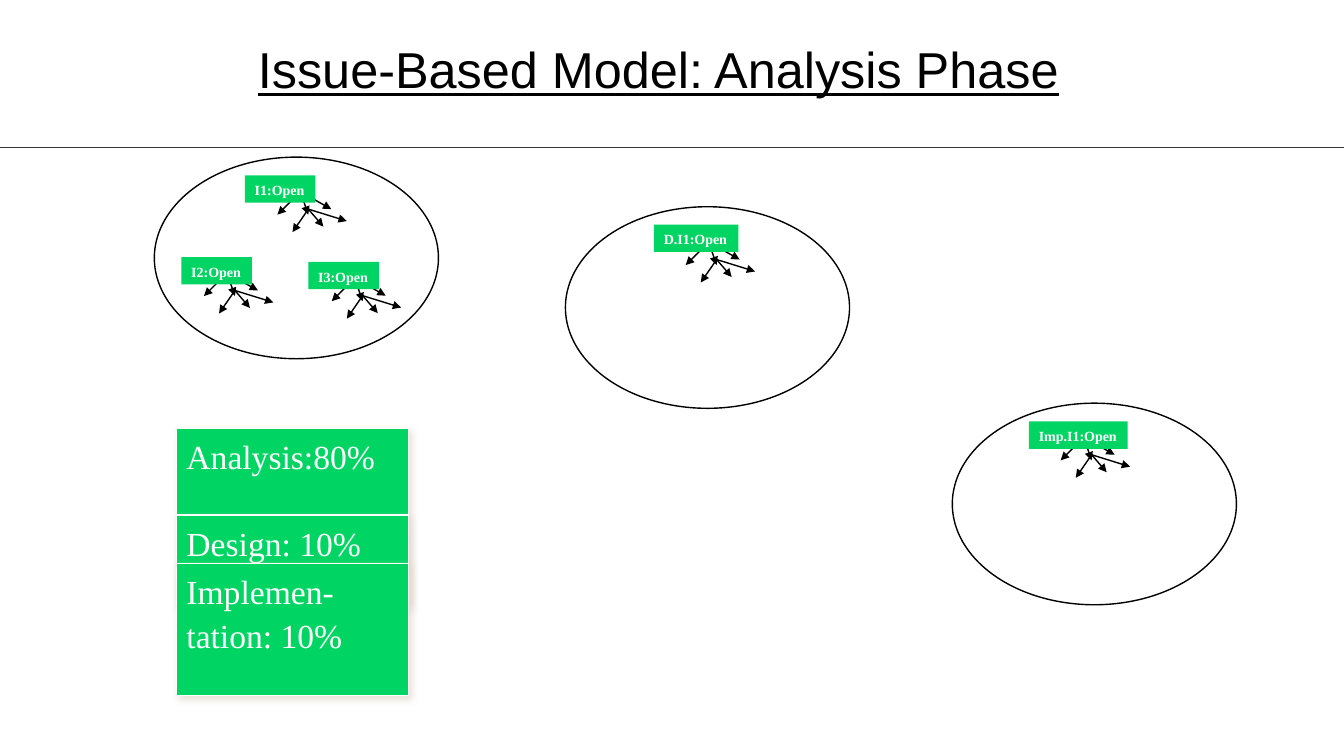
from lxml import etree
from pptx import Presentation
from pptx.dml.color import RGBColor
from pptx.enum.shapes import MSO_CONNECTOR as CONNECTOR, MSO_SHAPE as SHAPE
from pptx.enum.text import MSO_ANCHOR as ANCHOR, PP_ALIGN as ALIGN
from pptx.oxml import parse_xml
from pptx.oxml.ns import nsdecls, qn
from pptx.util import Cm, Pt

GREEN, WHITE, BLACK, RULE_GREY = "00D564", "FFFFFF", "000000", "353537"
WIDTH, HEIGHT = 33.87, 19.05
PHASE_SIZE = (7.16, 5.08)
LABEL_HEIGHT = 0.69

# Both hubs of an arrow fan and the tips they reach, measured from the first hub
FAN = [
    ((0, 0), [(0.2, 0.58), (-0.58, 0.58), (0.78, 0.44)]),
    ((0.2, 0.44), [(-0.2, 1.02), (0.58, 0.88), (1.17, 0.74)]),
]
PHASES = [(3.89, 3.96), (14.25, 5.21), (24.0, 10.16)]
# Text, label left, top and width, fan hub
ISSUES = [
    ("I1:Open", (6.17, 4.42, 1.78), (7.57, 4.83)),
    ("I2:Open", (4.57, 6.48, 1.78), (5.72, 6.88)),
    ("I3:Open", (7.77, 6.6, 1.78), (8.94, 7.01)),
    ("D.I1:Open", (16.48, 5.66, 2.13), (17.86, 6.1)),
    ("Imp.I1:Open", (25.93, 10.62, 2.49), (27.31, 11.02)),
]
# Text, top, height
PROGRESS = [
    ("Analysis:80%", 10.8, 4.37),
    ("Design: 10%", 12.98, 2.31),
    ("Implemen-tation: 10%", 14.2, 3.33),
]


def color(value):
    return RGBColor.from_string(value)


class IssueSlide:
    serif, sans = "Times New Roman", "Arial"
    line_width = Pt(1)
    line_spacing = 1.07

    def __init__(self, s):
        self.s = s

    def line(self, start, end, stroke=BLACK, shapes=None, arrow=False):
        shapes = shapes or self.s.shapes
        ends = [Cm(v) for v in (*start, *end)]
        cxn = shapes.add_connector(CONNECTOR.STRAIGHT, *ends)
        cxn.line.color.rgb = color(stroke)
        cxn.line.width = self.line_width
        if arrow:
            tail = etree.SubElement(cxn.line._get_or_add_ln(), qn("a:tailEnd"))
            tail.set("type", "triangle")
        etree.SubElement(cxn._element.spPr, qn("a:effectLst"))

    def shape(self, kind, left, top, width, height, fill=None, stroke=None):
        box = [Cm(v) for v in (left, top, width, height)]
        sp = self.s.shapes.add_shape(kind, *box)
        sp.shadow.inherit = False
        if fill:
            sp.fill.solid()
            sp.fill.fore_color.rgb = color(fill)
        else:
            sp.fill.background()
        if stroke:
            sp.line.color.rgb = color(stroke)
            sp.line.width = self.line_width
        else:
            sp.line.fill.background()
        return sp

    def text(self, sp, text, size, font, ink, wrap=True, bold=False, underline=False):
        tf = sp.text_frame
        tf.word_wrap = wrap
        tf.vertical_anchor = ANCHOR.TOP
        p = tf.paragraphs[0]
        p.text = text
        p.alignment = ALIGN.LEFT
        p.line_spacing = self.line_spacing
        p.font.name, p.font.size = font, Pt(size)
        p.font.bold, p.font.underline = bold, underline
        p.font.color.rgb = color(ink)

    def title(self, text, left, top, width, height):
        sp = self.s.shapes.add_textbox(Cm(left), Cm(top), Cm(width), Cm(height))
        self.text(sp, text, 36, self.sans, BLACK, underline=True)

    def phase(self, left, top):
        self.shape(SHAPE.OVAL, left, top, *PHASE_SIZE, stroke=BLACK)

    def fan(self, x, y):
        """Draw the grouped arrows that spread out below an issue label."""
        group = self.s.shapes.add_group_shape()
        for (hub_x, hub_y), tips in FAN:
            for dx, dy in tips:
                self.line((x + hub_x, y + hub_y), (x + dx, y + dy),
                          shapes=group.shapes, arrow=True)

    def issue(self, text, label, hub):
        self.fan(*hub)
        sp = self.shape(SHAPE.RECTANGLE, *label, LABEL_HEIGHT, fill=GREEN)
        self.text(sp, text, 10, self.serif, WHITE, wrap=False, bold=True)

    def progress(self, text, top, height):
        sp = self.shape(SHAPE.RECTANGLE, 4.45, top, 5.84, height, GREEN, WHITE)
        self.soft_shadow(sp)
        self.text(sp, text, 24, self.serif, WHITE)

    def soft_shadow(self, sp):
        effects = sp._element.spPr.find(qn("a:effectLst"))
        effects.append(parse_xml(
            f'<a:outerShdw {nsdecls("a")} blurRad="{Pt(5)}" dist="{Pt(3)}" '
            'dir="2700000" algn="tl" rotWithShape="0">'
            '<a:srgbClr val="E3DCCF"><a:alpha val="75000"/></a:srgbClr>'
            '</a:outerShdw>'))


def main():
    prs = Presentation()
    prs.slide_width, prs.slide_height = Cm(WIDTH), Cm(HEIGHT)
    slide = IssueSlide(prs.slides.add_slide(prs.slide_layouts[6]))

    slide.line((0, 3.71), (WIDTH, 3.71), RULE_GREY)
    for phase in PHASES:
        slide.phase(*phase)
    for issue in ISSUES:
        slide.issue(*issue)
    for step in PROGRESS:
        slide.progress(*step)
    slide.title("Issue-Based Model: Analysis Phase", 6.25, 0.74, 23.8, 1.8)

    prs.save("out.pptx")


if __name__ == "__main__":
    main()
